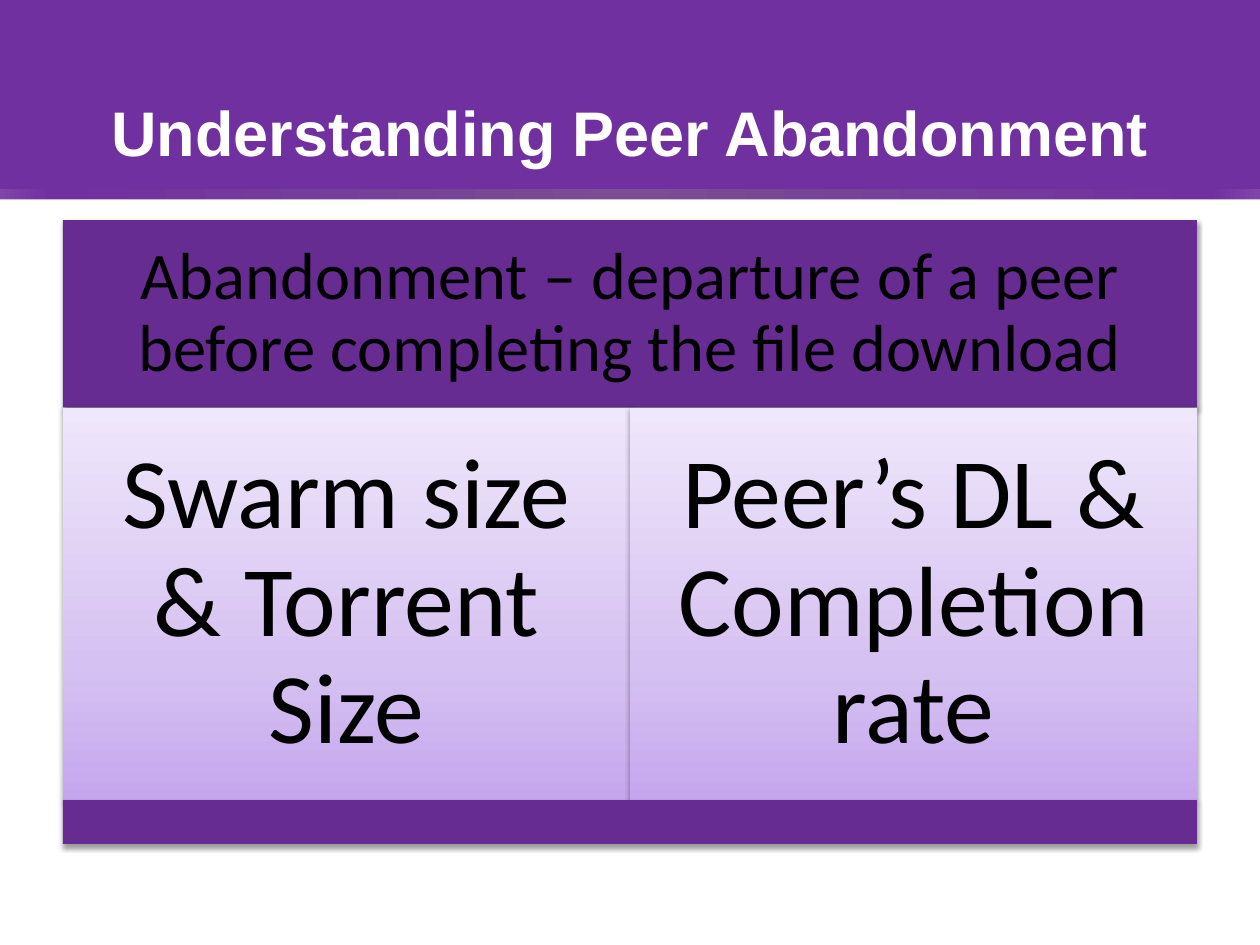
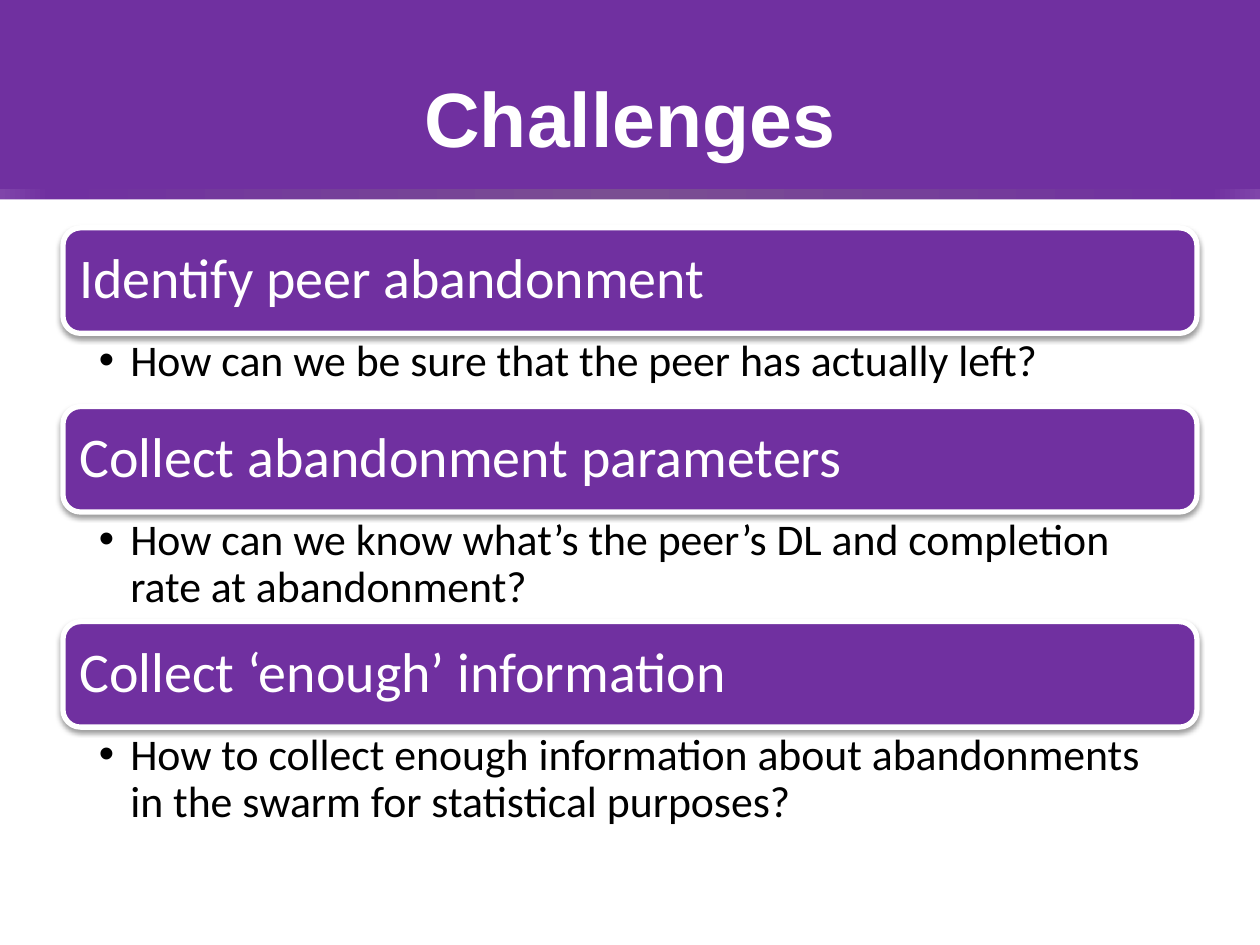
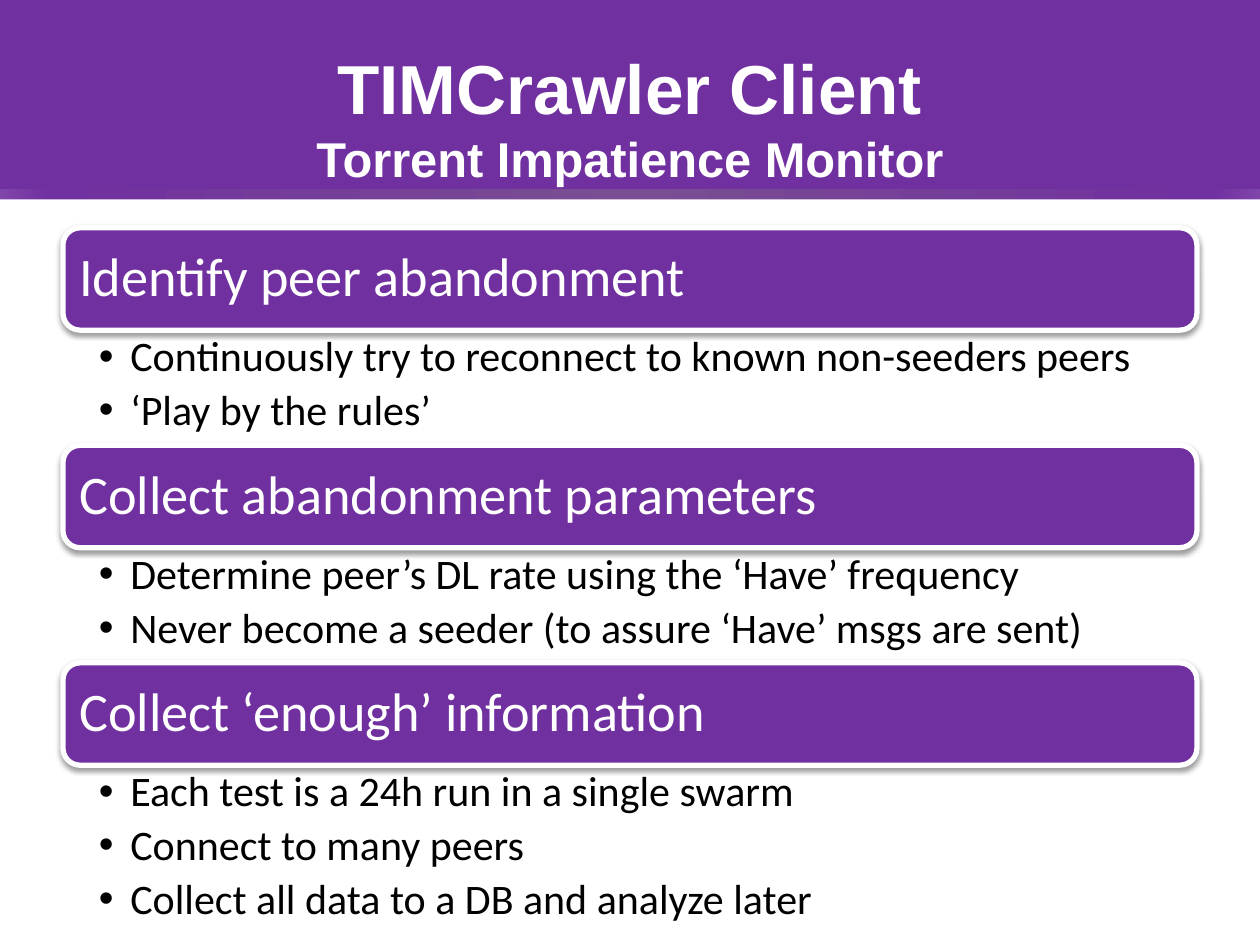
from dataclasses import dataclass

from lxml import etree
from pptx import Presentation
from pptx.dml.color import RGBColor as RGB
from pptx.enum.shapes import MSO_SHAPE as SHAPE
from pptx.enum.text import MSO_ANCHOR as ANCHOR, MSO_AUTO_SIZE as AUTO, PP_ALIGN as ALIGN
from pptx.oxml.ns import qn
from pptx.util import Pt


@dataclass(frozen=True)
class Theme:
    purple: str = "7030A0"
    dark: str = "662C91"
    white: str = "FFFFFF"
    black: str = "000000"
    pale: tuple = ((0, "C5A6EE"), (35, "D6C2F2"), (100, "EFE7FB"))
    glow: tuple = ((0, "8045AA"), (4, "7030A0"), (50, "7A4E92"), (96, "7030A0"), (100, "8045AA"))
    title_font: str = "Arial"
    body_font: str = "Calibri"
    lead_size: float = 38
    factor_size: float = 57
    left: float = 36
    width: float = 648
    list_top: float = 130.2
    line_spacing: float = 0.9


def sub(parent, tag, **attrs):
    return etree.SubElement(parent, qn(tag), {k: str(v) for k, v in attrs.items()})


class Deck:
    def __init__(self, theme):
        self.t = theme
        self.prs = Presentation()
        self.prs.slide_width, self.prs.slide_height = Pt(720), Pt(540)
        self.layout = self.prs.slide_layouts[5]
        self.s = None

    def slide(self, lines, top=21.6):
        first = self.s is None
        self.s = self.prs.slides.add_slide(self.layout)
        if first:
            self.backdrop()
        title = self.s.shapes.title
        title.left, title.top = Pt(self.t.left), Pt(top)
        title.width, title.height = Pt(self.t.width), Pt(90)
        tf = title.text_frame
        tf.auto_size, tf.vertical_anchor = AUTO.NONE, ANCHOR.MIDDLE
        p = tf.paragraphs[0]
        p.alignment = ALIGN.CENTER
        for i, (text, size) in enumerate(lines):
            if i:
                p.add_line_break()
            self.run(p, text, size, self.t.white, self.t.title_font, True)

    def backdrop(self):
        layers = ((0, self.t.purple), (107.8, self.t.glow), (114, self.t.white))
        for i, (y, fill) in enumerate(layers):
            sp = self.box(0, y, 720, 540 - y, fill)
            self.layout.shapes.element.insert(2 + i, sp.element)

    def run(self, p, text, size, color, font=None, bold=False):
        r = p.add_run()
        r.text = text
        r.font.name = font or self.t.body_font
        r.font.size, r.font.bold = Pt(size), bold
        r.font.color.rgb = RGB.from_string(color)

    def box(self, x, y, w, h, fill, kind=SHAPE.RECTANGLE, angle=0):
        sp = self.s.shapes.add_shape(kind, Pt(x), Pt(y), Pt(w), Pt(h))
        sp.shadow.inherit = False
        sp.line.fill.background()
        if isinstance(fill, str):
            sp.fill.solid()
            sp.fill.fore_color.rgb = RGB.from_string(fill)
        else:
            sp.fill.gradient()
            sp.fill.gradient_angle = angle
            stops = sp.element.spPr.find(".//" + qn("a:gsLst"))
            stops.clear()
            for pos, color in fill:
                sub(sub(stops, "a:gs", pos=pos * 1000), "a:srgbClr", val=color)
        return sp

    def shadow(self, sp):
        effects = sp.element.spPr.find(qn("a:effectLst"))
        outer = sub(effects, "a:outerShdw", blurRad=Pt(3.1), dist=Pt(1.6),
                    dir=90 * 60000, rotWithShape=0)
        sub(sub(outer, "a:srgbClr", val=self.t.black), "a:alpha", val=38000)

    def frame(self, sp, insets, anchor):
        tf = sp.text_frame
        tf.word_wrap, tf.vertical_anchor = True, anchor
        tf.margin_left, tf.margin_top, tf.margin_right, tf.margin_bottom = map(Pt, insets)
        return tf

    def panel(self, x, y, w, h, fill, text="", size=0, inset=0):
        sp = self.box(x, y, w, h, fill, angle=90)
        self.shadow(sp)
        if text:
            p = self.frame(sp, [inset] * 4, ANCHOR.MIDDLE).paragraphs[0]
            p.alignment, p.line_spacing = ALIGN.CENTER, self.t.line_spacing
            self.run(p, text, size, self.t.black)

    def header(self, y, h, text, size):
        sp = self.box(self.t.left, y, self.t.width, h, self.t.purple, SHAPE.ROUNDED_RECTANGLE)
        sp.line.color.rgb = RGB.from_string(self.t.white)
        sp.line.width = Pt(3)
        self.shadow(sp)
        p = self.frame(sp, [6.5] * 4, ANCHOR.MIDDLE).paragraphs[0]
        p.alignment, p.line_spacing = ALIGN.LEFT, self.t.line_spacing
        self.run(p, text, size, self.t.white)

    def bullets(self, y, h, items, size):
        sp = self.s.shapes.add_textbox(Pt(self.t.left), Pt(y), Pt(self.t.width), Pt(h))
        tf = self.frame(sp, (20.5, 3.1, 17.5, 3.1), ANCHOR.TOP)
        for i, item in enumerate(items):
            p = tf.add_paragraph() if i else tf.paragraphs[0]
            p.level, p.line_spacing, p.space_after = 1, self.t.line_spacing, Pt(size * 0.2)
            pPr = p._p.get_or_add_pPr()
            pPr.set("marL", str(Pt(18)))
            pPr.set("indent", str(Pt(-18)))
            sub(pPr, "a:buFont", typeface=self.t.title_font)
            sub(pPr, "a:buChar", char="•")
            self.run(p, item, size, self.t.black)

    def sections(self, groups, header_h, header_size, item_size):
        y = self.t.list_top
        for heading, body_h, items in groups:
            self.header(y, header_h, heading, header_size)
            self.bullets(y + header_h, body_h, items, item_size)
            y += header_h + body_h


def main():
    t = Theme()
    deck = Deck(t)

    deck.slide([("Understanding Peer Abandonment", 36)], top=30.2)
    deck.panel(t.left, 125.8, t.width, 107.1, t.dark,
               "Abandonment – departure of a peer before completing the file download",
               t.lead_size, 11.5)
    half = t.width / 2
    for i, factor in enumerate(("Swarm size & Torrent Size", "Peer’s DL & Completion rate")):
        deck.panel(t.left + i * half, 232.9, half, 224.4, t.pale, factor, t.factor_size, 17.3)
    deck.panel(t.left, 457.3, t.width, 25, t.dark)

    headings = ("Identify peer abandonment", "Collect abandonment parameters",
                "Collect ‘enough’ information")

    deck.slide([("Challenges", 44)])
    questions = (
        ["How can we be sure that the peer has actually left?"],
        ["How can we know what’s the peer’s DL and completion rate at abandonment?"],
        ["How to collect enough information about abandonments in the swarm "
         "for statistical purposes?"],
    )
    deck.sections(zip(headings, (41.8, 62.6, 62.6), questions), 60.3, 32, 25)

    deck.slide([("TIMCrawler Client", 39.6), ("Torrent Impatience Monitor", 27.9)])
    answers = (
        ["Continuously try to reconnect to known non-seeders peers", "‘Play by the rules’"],
        ["Determine peer’s DL rate using the ‘Have’ frequency",
         "Never become a seeder (to assure ‘Have’ msgs are sent)"],
        ["Each test is a 24h run in a single swarm", "Connect to many peers",
         "Collect all data to a DB and analyze later"],
    )
    deck.sections(zip(headings, (65.8, 65.8, 98.6), answers), 58.5, 31, 24)

    deck.prs.save("out.pptx")


if __name__ == "__main__":
    main()
